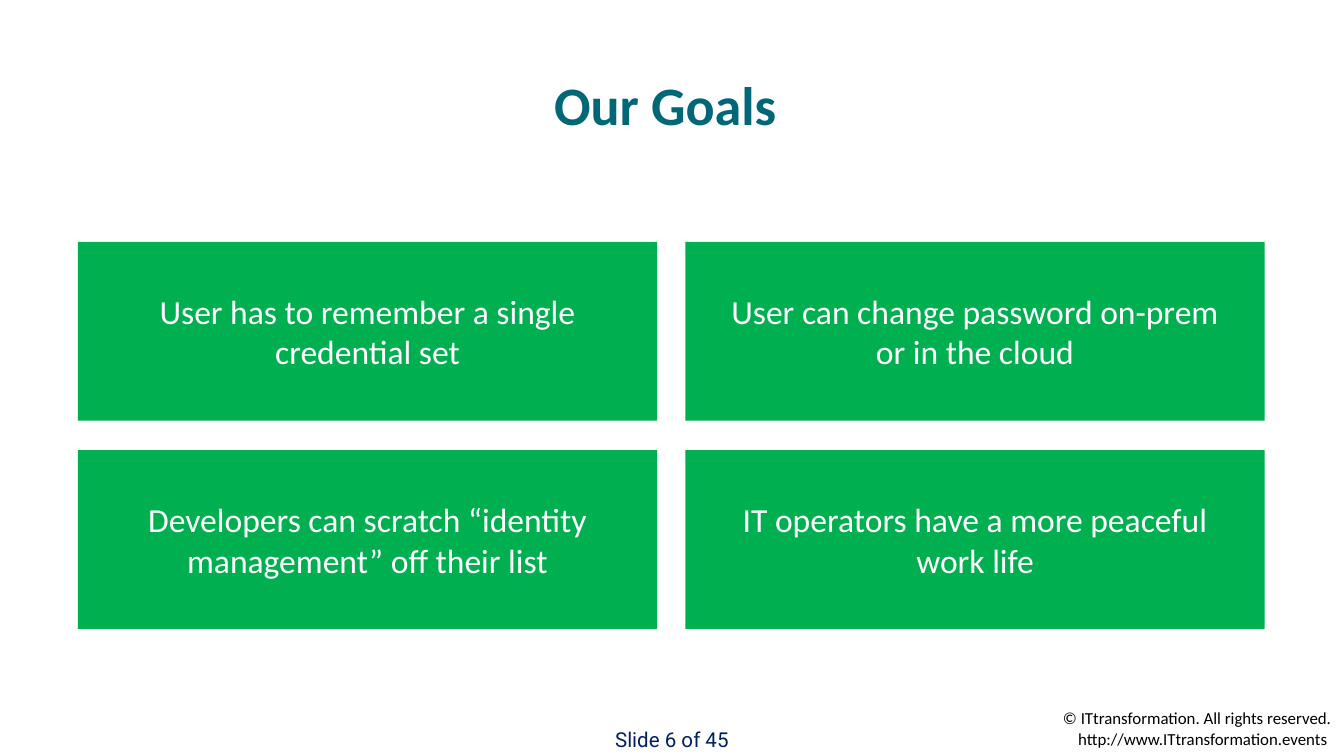
from pptx import Presentation
from pptx.dml.color import RGBColor
from pptx.enum.shapes import MSO_SHAPE
from pptx.enum.text import MSO_ANCHOR, MSO_AUTO_SIZE, PP_ALIGN
from pptx.util import Inches, Pt

TITLE = "Our Goals"
GOALS = [
    ["User has to remember a single credential set",
     "User can change password on-prem or in the cloud"],
    ["Developers can scratch “identity management” off their list",
     "IT operators have a more peaceful work life"],
]
PAGE_LABEL = "Slide 6 of 45"
COPYRIGHT = ["© ITtransformation. All rights reserved.",
             "http://www.ITtransformation.events "]

# Goal grid, in inches
GRID_LEFT, GRID_TOP = 0.58, 1.8
CARD_WIDTH, CARD_HEIGHT = 4.31, 1.33
COLUMN_STEP, ROW_STEP = 4.52, 1.55


def rgb(value):
    return RGBColor.from_string(value)


def write(box, lines, size, color, font="Calibri", bold=False,
          align=PP_ALIGN.CENTER, anchor=MSO_ANCHOR.TOP,
          insets=(0.1, 0.05, 0.1, 0.05), fit=MSO_AUTO_SIZE.NONE):
    """Fill a shape with one formatted paragraph per line."""
    frame = box.text_frame
    frame.word_wrap = True
    frame.auto_size = fit
    frame.vertical_anchor = anchor
    (frame.margin_left, frame.margin_top,
     frame.margin_right, frame.margin_bottom) = map(Inches, insets)
    for index, line in enumerate(lines):
        para = frame.add_paragraph() if index else frame.paragraphs[0]
        para.alignment = align
        span = para.add_run()
        span.text = line
        span.font.name = font
        span.font.size = Pt(size)
        span.font.bold = bold
        span.font.color.rgb = rgb(color)


def add_text(page, area, lines, size, color, **style):
    box = page.shapes.add_textbox(*map(Inches, area))
    write(box, lines, size, color, **style)


def add_goal(page, row, column, text):
    area = (GRID_LEFT + column * COLUMN_STEP, GRID_TOP + row * ROW_STEP,
            CARD_WIDTH, CARD_HEIGHT)
    card = page.shapes.add_shape(MSO_SHAPE.RECTANGLE, *map(Inches, area))
    card.shadow.inherit = False
    card.fill.solid()
    card.fill.fore_color.rgb = rgb("00B050")
    card.line.fill.background()
    write(card, [text], 18, "FFFFFF", anchor=MSO_ANCHOR.MIDDLE, insets=[0.3] * 4)


def main():
    deck = Presentation()
    deck.slide_width = Inches(10)
    deck.slide_height = deck.slide_width * 9 // 16
    page = deck.slides.add_slide(deck.slide_layouts[6])

    # Title
    add_text(page, (0.58, 0.48, 8.84, 0.36), [TITLE], 29, "006777",
             bold=True, insets=(0, 0.05, 0.1, 0.05))

    # Goal cards
    for row, goals in enumerate(GOALS):
        for column, goal in enumerate(goals):
            add_goal(page, row, column, goal)

    # Footer
    grow = MSO_AUTO_SIZE.SHAPE_TO_FIT_TEXT
    add_text(page, (0, 5.36, 10, 0.29), [PAGE_LABEL], 11, "002060",
             font="Roboto", fit=grow)
    add_text(page, (7.08, 5.22, 2.92, 0.4), COPYRIGHT, 9, "000000",
             align=PP_ALIGN.RIGHT, fit=grow)

    deck.save("out.pptx")


if __name__ == "__main__":
    main()
